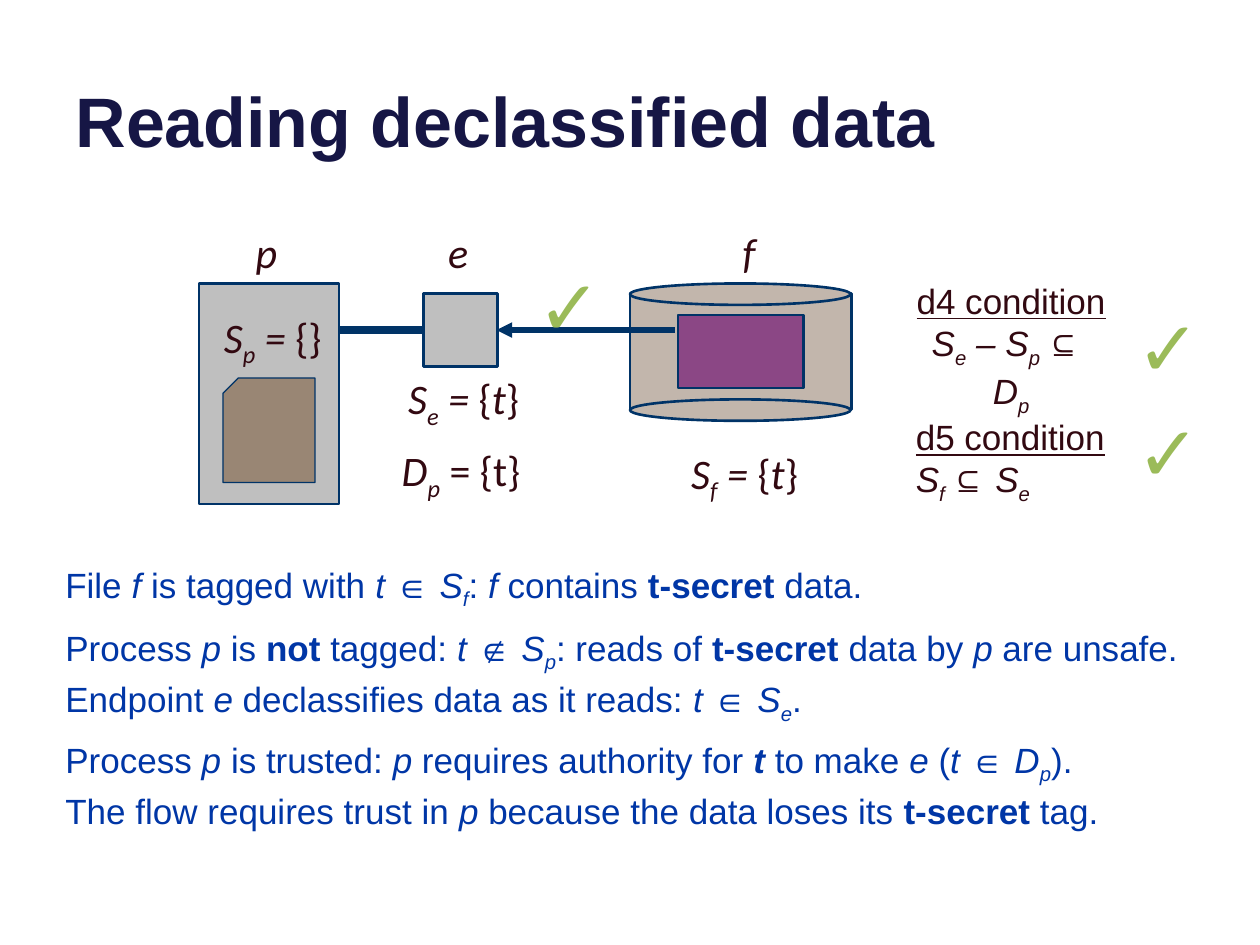
from pptx import Presentation
from pptx.dml.color import RGBColor
from pptx.enum.shapes import MSO_CONNECTOR as CONN, MSO_SHAPE as SHAPE
from pptx.enum.text import MSO_ANCHOR as ANCHOR, MSO_AUTO_SIZE as FIT, PP_ALIGN as ALIGN
from pptx.oxml.ns import qn
from pptx.util import Inches, Pt
from lxml.etree import SubElement

NAVY, BLUE, MAROON = "003367", "0036A6", "320911"
GREY, TAN, BROWN, PURPLE = "BFBFBF", "C2B6AC", "998674", "8B4785"
GREEN, INK = "9BBB59", "161645"


def rgb(value):
    return RGBColor.from_string(value)


class Deck:
    def __init__(self, s):
        self.s = s

    def add_runs(self, p, runs, size, font, color):
        for text, marks in runs:
            if text == "\n":
                p.add_line_break()
                continue
            r = p.add_run()
            r.text = text
            f = r.font
            f.size, f.name = Pt(size), font
            f.color.rgb = rgb(color)
            f.bold, f.italic = "b" in marks, "i" in marks
            f.underline = "u" in marks
            if "s" in marks:
                f._element.set("baseline", "-25000")

    def title(self, text, box):
        sp = self.s.shapes.title
        sp.left, sp.top, sp.width, sp.height = map(Inches, box)
        tf = sp.text_frame
        tf.vertical_anchor = ANCHOR.BOTTOM
        p = tf.paragraphs[0]
        p.alignment = ALIGN.LEFT
        self.add_runs(p, [(text, "b")], 40, "Arial", INK)

    def text(self, box, lines, size=24, font="Calibri", color=MAROON,
             align=ALIGN.CENTER, wrap=False, spacing=None):
        tf = self.s.shapes.add_textbox(*map(Inches, box)).text_frame
        tf.word_wrap = wrap
        tf.auto_size = FIT.SHAPE_TO_FIT_TEXT
        for i, runs in enumerate(lines):
            p = tf.add_paragraph() if i else tf.paragraphs[0]
            p.alignment = align
            if spacing:
                p.line_spacing = spacing
            self.add_runs(p, runs, size, font, color)

    def check(self, x, y):
        self.text((x, y, 0.67, 0.84), [[("✓", "")]], 44, "Arial", GREEN, ALIGN.LEFT)

    def shape(self, kind, box, fill, width=1.5, flip=False):
        sp = self.s.shapes.add_shape(kind, *map(Inches, box))
        sp.shadow.inherit = False
        sp.fill.solid()
        sp.fill.fore_color.rgb = rgb(fill)
        sp.line.color.rgb = rgb(NAVY)
        sp.line.width = Pt(width)
        if flip:
            sp._element.spPr.find(qn("a:xfrm")).set("flipH", "1")

    def line(self, x1, x2, y, width, arrow=False):
        c = self.s.shapes.add_connector(CONN.STRAIGHT, *map(Inches, (x1, y, x2, y)))
        c.line.color.rgb = rgb(NAVY)
        c.line.width = Pt(width)
        spPr = c._element.spPr
        if arrow:
            SubElement(spPr.find(qn("a:ln")), qn("a:headEnd"), type="triangle")
        SubElement(spPr, qn("a:effectLst"))


def main():
    prs = Presentation()
    prs.slide_width, prs.slide_height = Inches(10), Inches(7.5)
    d = Deck(prs.slides.add_slide(prs.slide_layouts[5]))
    d.title("Reading declassified data", (0.5, -0.37, 9, 1.7))

    d.shape(SHAPE.RECTANGLE, (1.58, 2.25, 1.11, 1.75), GREY)
    d.shape(SHAPE.SNIP_1_RECTANGLE, (1.77, 3, 0.73, 0.83), BROWN, 0.75, flip=True)
    d.shape(SHAPE.RECTANGLE, (5, 2.33, 1.76, 0.92), TAN)
    for y in (2.25, 3.17):
        d.shape(SHAPE.OVAL, (5, y, 1.75, 0.17), TAN)
    d.line(3.36, 2.69, 2.62, 4.5)
    d.shape(SHAPE.RECTANGLE, (5.38, 2.5, 1, 0.58), PURPLE)
    d.shape(SHAPE.RECTANGLE, (3.36, 2.33, 0.59, 0.58), GREY)
    d.line(3.94, 5.36, 2.62, 3, arrow=True)

    for name, x in (("p", 1.92), ("e", 3.44), ("f", 5.75)):
        d.text((x, 1.75, 0.39, 0.5), [[(name, "i")]])

    tag = [(" = ", "i"), ("{", ""), ("t", "i"), ("}", "")]
    labels = [
        ((1.65, 2.42, 1.03, 0.5), "S", "p", [(" = ", "i"), ("{}", "")]),
        ((3.06, 3.48, 1.2, 0.5), "D", "p", [(" = {t}", "")]),
        ((3.11, 2.91, 1.14, 0.5), "S", "e", tag),
        ((5.36, 3.5, 1.1, 0.5), "S", "f", tag),
    ]
    for box, name, sub, value in labels:
        d.text(box, [[(name, "i"), (sub, "is"), *value]])

    d.text((7.14, 2.17, 1.77, 0.77), [
        [("d4 condition", "u")],
        [("S", "i"), ("e", "is"), (" – S", "i"), ("p ", "is"), ("⊆ ", ""),
         ("\n", ""), ("D", "i"), ("p", "is")],
    ], 20, "Arial")
    d.text((7.17, 3.25, 1.77, 0.77), [
        [("d5 condition", "u")],
        [("S", "i"), ("f ", "is"), ("⊆", ""), (" S", "i"), ("e", "is")],
    ], 20, "Arial", align=ALIGN.LEFT)

    statements = [
        (4.44, [("File ", ""), ("f ", "i"), ("is tagged with ", ""), ("t ∈ S", "i"),
                ("f", "is"), (": ", ""), ("f", "i"), (" contains ", ""),
                ("t-secret", "b"), (" data.", "")]),
        (4.94, [("Process ", ""), ("p", "i"), (" is ", ""), ("not", "b"),
                (" tagged: ", ""), ("t ", "i"), ("∉ ", ""), ("S", "i"), ("p", "is"),
                (": reads of ", ""), ("t-secret ", "b"), ("data by ", ""),
                ("p", "i"), (" are unsafe.", "")]),
        (5.35, [("Endpoint ", ""), ("e", "i"), (" declassifies data as it reads: ", ""),
                ("t ∈ S", "i"), ("e", "is"), (".", "")]),
        (5.83, [("Process ", ""), ("p ", "i"), ("is trusted: ", ""), ("p", "i"),
                (" requires authority for ", ""), ("t ", "bi"), ("to make ", ""),
                ("e ", "i"), ("(", ""), ("t ∈ D", "i"), ("p", "is"), (").", "")]),
        (6.27, [("The flow requires trust in ", ""), ("p", "i"),
                (" because the data loses its ", ""), ("t-secret", "b"), (" tag.", "")]),
    ]
    for y, runs in statements:
        d.text((0.42, y, 9.08, 0.4), [runs], 20, "Arial", BLUE, ALIGN.LEFT, True, 0.85)

    for x, y in ((8.92, 2.33), (8.92, 3.16), (4.17, 2)):
        d.check(x, y)

    prs.save("out.pptx")


if __name__ == "__main__":
    main()
